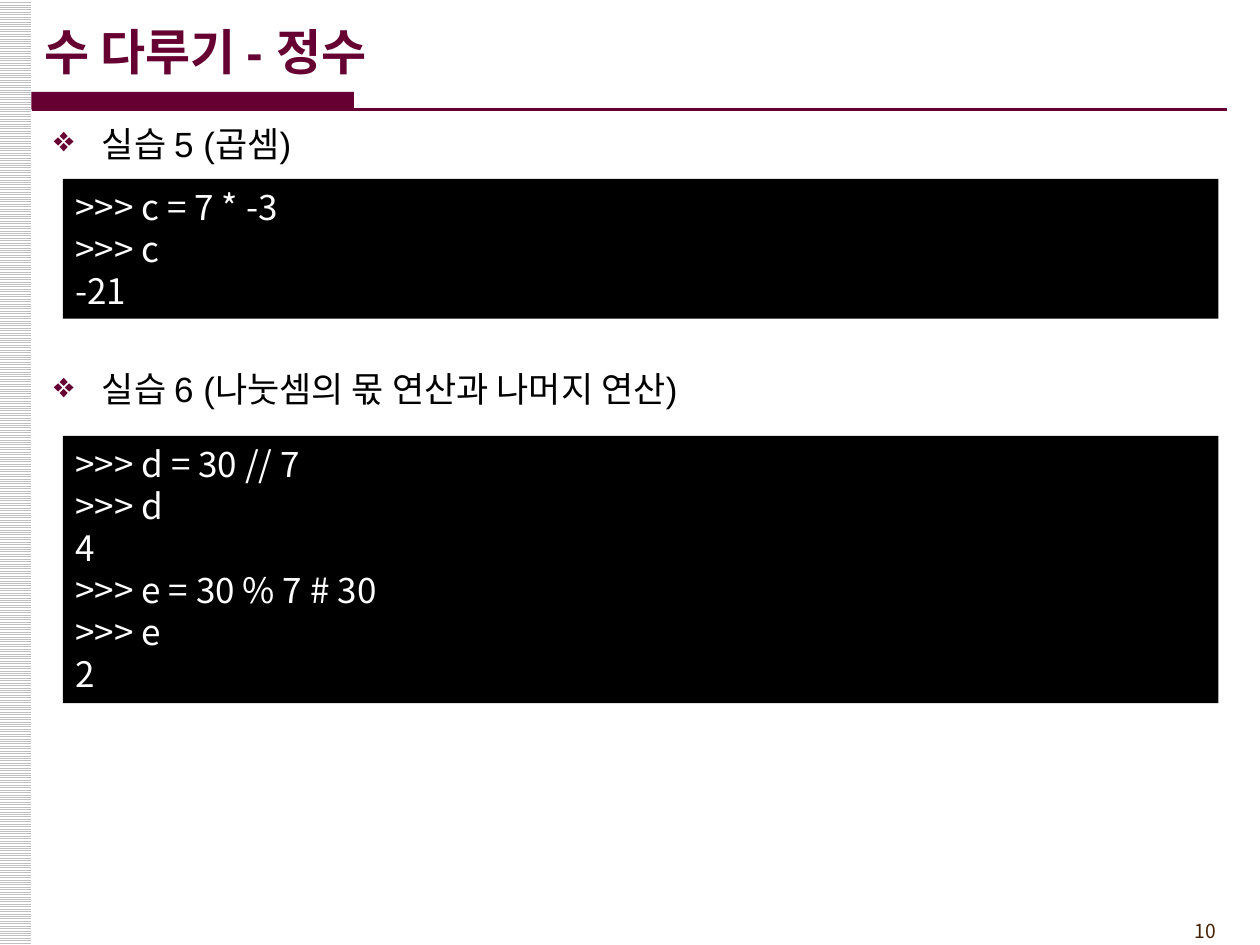
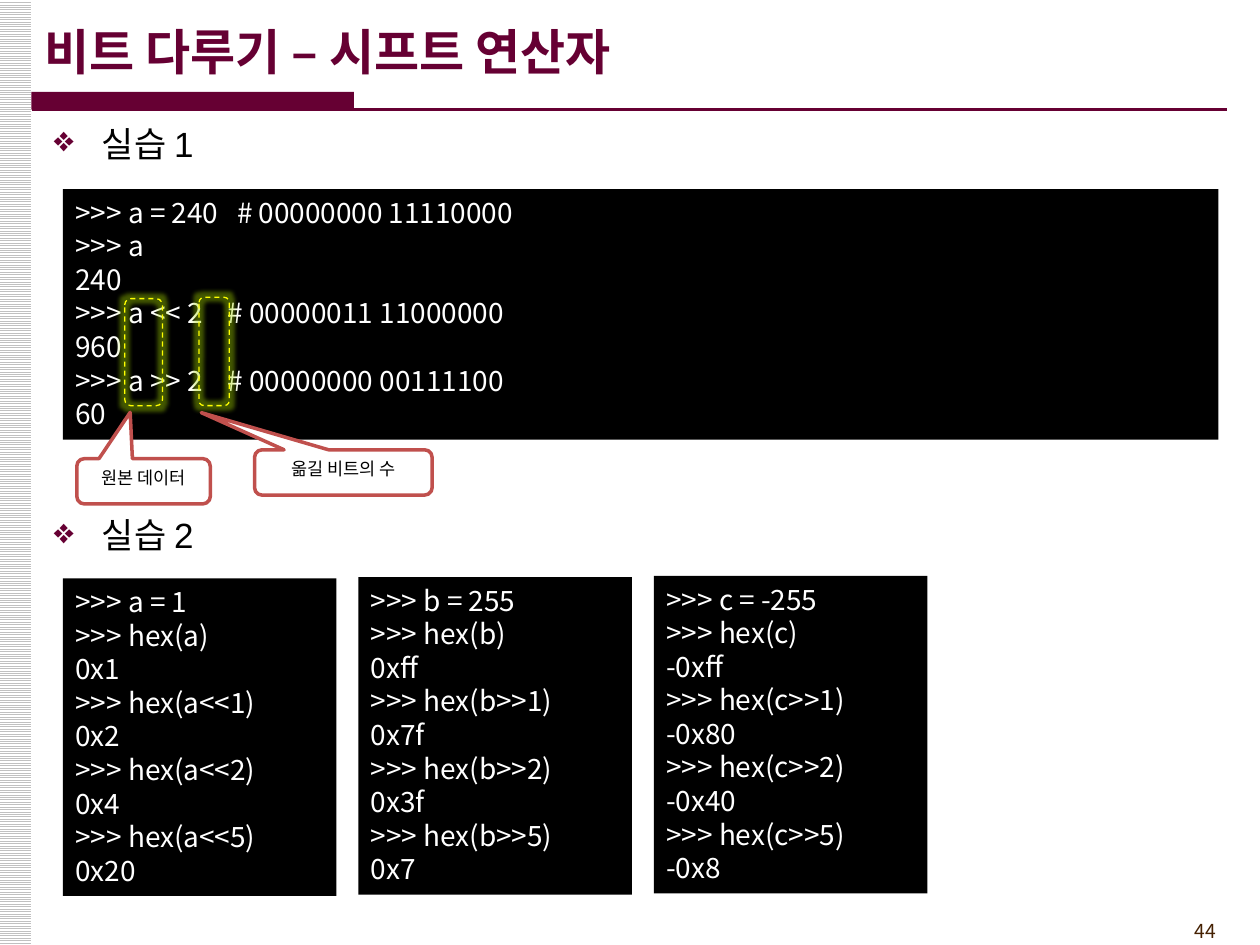
from dataclasses import dataclass

from lxml import etree
from pptx import Presentation
from pptx.dml.color import RGBColor
from pptx.enum.dml import MSO_LINE, MSO_PATTERN
from pptx.enum.shapes import MSO_CONNECTOR, MSO_SHAPE
from pptx.enum.text import MSO_ANCHOR, MSO_AUTO_SIZE, PP_ALIGN
from pptx.oxml.ns import qn
from pptx.util import Inches, Pt

RECTANGLE = MSO_SHAPE.RECTANGLE
ROUNDED = MSO_SHAPE.ROUNDED_RECTANGLE
CALLOUT = MSO_SHAPE.ROUNDED_RECTANGULAR_CALLOUT
LEFT, CENTER, RIGHT = PP_ALIGN.LEFT, PP_ALIGN.CENTER, PP_ALIGN.RIGHT
TOP, MIDDLE = MSO_ANCHOR.TOP, MSO_ANCHOR.MIDDLE


@dataclass(frozen=True)
class Theme:
    accent: str = "660033"
    ink: str = "000000"
    paper: str = "FFFFFF"
    stripe: str = "C0C0C0"
    number: str = "452103"
    callout: str = "C0504D"
    marker: str = "FFFF00"
    glow: str = "AADD00"
    heading_font: str = "Arial"
    body_font: str = "Noto Sans CJK KR"
    title_size: int = 28
    heading_size: int = 20
    number_size: int = 11
    note_size: int = 10


THEME = Theme()

# Content: headings are (top, text), code blocks are (left, top, width, height, size, lines)
CODE_LEFT, CODE_WIDTH = 0.5, 9.17
HEX_WIDTH, HEX_STEP, HEX_TOP, HEX_RISE = 2.17, 2.345, 4.59, 0.01
HEADING_TOP = 0.92

HEX_SESSIONS = [
    [">>> a = 1", ">>> hex(a)", "0x1", ">>> hex(a<<1)", "0x2",
     ">>> hex(a<<2)", "0x4", ">>> hex(a<<5)", "0x20"],
    [">>> b = 255", ">>> hex(b)", "0xff", ">>> hex(b>>1)", "0x7f",
     ">>> hex(b>>2)", "0x3f", ">>> hex(b>>5)", "0x7"],
    [">>> c = -255", ">>> hex(c)", "-0xff", ">>> hex(c>>1)", "-0x80",
     ">>> hex(c>>2)", "-0x40", ">>> hex(c>>5)", "-0x8"],
]

SLIDES = [
    {
        "title": "수 다루기 - 정수",
        "number": "10",
        "headings": [(HEADING_TOP, "실습 5 (곱셈)"),
                     (2.87, "실습 6 (나눗셈의 몫 연산과 나머지 연산)")],
        "code": [
            (CODE_LEFT, 1.42, CODE_WIDTH, 1.11, 20, [">>> c = 7 * -3", ">>> c", "-21"]),
            (CODE_LEFT, 3.46, CODE_WIDTH, 2.12, 20,
             [">>> d = 30 // 7", ">>> d", "4", ">>> e = 30 % 7 # 30", ">>> e", "2"]),
        ],
    },
    {
        "title": "비트 다루기 – 시프트 연산자",
        "number": "44",
        "headings": [(HEADING_TOP, "실습 1"), (4.03, "실습 2")],
        "code": [
            (CODE_LEFT, 1.5, CODE_WIDTH, 1.99, 16,
             [">>> a = 240   # 00000000 11110000", ">>> a", "240",
              ">>> a << 2    # 00000011 11000000", "960",
              ">>> a >> 2    # 00000000 00111100", "60"]),
        ] + [
            (CODE_LEFT + column * HEX_STEP, HEX_TOP - column * HEX_RISE,
             HEX_WIDTH, 2.52, 16, lines)
            for column, lines in enumerate(HEX_SESSIONS)
        ],
        "markers": [(0.99, 2.37, 0.3, 0.85), (1.58, 2.36, 0.24, 0.86)],
        "callouts": [
            ((0.61, 3.64, 1.06, 0.36), (-0.1, -1.52), "원본 데이터"),
            ((2.02, 3.57, 1.41, 0.36), (-0.8, -1.32), "옮길 비트의 수"),
        ],
    },
]


def color(value):
    return RGBColor.from_string(value)


def inches(box):
    return [Inches(length) for length in box]


def add_child(parent, tag, **attributes):
    return etree.SubElement(parent, qn(tag), attributes)


def write(shape, lines, size, ink, font=THEME.body_font, bold=False,
          align=LEFT, anchor=TOP):
    frame = shape.text_frame
    frame.word_wrap = True
    frame.auto_size = MSO_AUTO_SIZE.NONE
    frame.vertical_anchor = anchor
    for index, line in enumerate(lines):
        paragraph = frame.paragraphs[0] if index == 0 else frame.add_paragraph()
        paragraph.alignment = align
        run = paragraph.add_run()
        run.text = line
        run.font.size = Pt(size)
        run.font.bold = bold
        run.font.color.rgb = color(ink)
        run.font.name = font
        add_child(run.font._element, "a:ea", typeface=THEME.body_font)


def add_box(slide, kind, box, fill=None, line=None, line_width=1):
    shape = slide.shapes.add_shape(kind, *inches(box))
    shape.shadow.inherit = False
    if fill:
        shape.fill.solid()
        shape.fill.fore_color.rgb = color(fill)
    else:
        shape.fill.background()
    if line:
        shape.line.color.rgb = color(line)
        shape.line.width = Pt(line_width)
    else:
        shape.line.fill.background()
    return shape


def add_frame(slide, title, number):
    # Striped side band
    band = add_box(slide, RECTANGLE, (0, 0, 0.25, 7.5))
    band.fill.patterned()
    band.fill.pattern = MSO_PATTERN.LIGHT_HORIZONTAL
    band.fill.fore_color.rgb = color(THEME.stripe)
    band.fill.back_color.rgb = color(THEME.paper)

    # Title with its bar and rule
    add_box(slide, RECTANGLE, (0.25, 0.73, 2.56, 0.14), THEME.accent)
    rule = slide.shapes.add_connector(
        MSO_CONNECTOR.STRAIGHT, *inches((0.25, 0.87, 9.74, 0.87)))
    rule.line.color.rgb = color(THEME.accent)
    rule.line.width = Pt(1.5)
    add_child(rule._element.spPr, "a:effectLst")
    heading = slide.shapes.title
    heading.left, heading.top, heading.width, heading.height = inches(
        (0.25, 0.09, 8.27, 0.63))
    write(heading, [title], THEME.title_size, THEME.accent,
          THEME.heading_font, bold=True, anchor=MIDDLE)

    # Page number
    footer = slide.shapes.add_textbox(*inches((8.92, 7.25, 0.83, 0.29)))
    write(footer, [number], THEME.number_size, THEME.number, align=RIGHT)


def add_heading(slide, top, text):
    box = slide.shapes.add_textbox(*inches((0.33, top, 9.5, 0.45)))
    indent = Inches(0.38)
    properties = box.text_frame.paragraphs[0]._p.get_or_add_pPr()
    properties.set("marL", str(indent))
    properties.set("indent", str(-indent))
    bullet_color = add_child(properties, "a:buClr")
    add_child(bullet_color, "a:srgbClr", val=THEME.accent)
    add_child(properties, "a:buChar", char="❖")
    write(box, [text], THEME.heading_size, THEME.ink, THEME.heading_font)


def add_marker(slide, box):
    marker = add_box(slide, ROUNDED, box, line=THEME.marker, line_width=0.75)
    marker.line.dash_style = MSO_LINE.DASH
    effects = marker._element.spPr.find(qn("a:effectLst"))
    glow = add_child(effects, "a:glow", rad=str(Pt(5)))
    glow_color = add_child(glow, "a:srgbClr", val=THEME.glow)
    add_child(glow_color, "a:alpha", val="40000")


def add_callout(slide, box, tip, text):
    callout = add_box(slide, CALLOUT, box, THEME.paper, THEME.callout, 2)
    callout.adjustments[0], callout.adjustments[1] = tip
    write(callout, [text], THEME.note_size, THEME.ink, align=CENTER)


def main():
    presentation = Presentation()
    presentation.slide_width, presentation.slide_height = inches((10, 7.5))
    title_only = presentation.slide_layouts[5]
    for content in SLIDES:
        slide = presentation.slides.add_slide(title_only)
        add_frame(slide, content["title"], content["number"])
        for top, text in content["headings"]:
            add_heading(slide, top, text)
        for *box, size, lines in content["code"]:
            block = add_box(slide, RECTANGLE, box, THEME.ink)
            write(block, lines, size, THEME.paper)
        for box in content.get("markers", []):
            add_marker(slide, box)
        for callout in content.get("callouts", []):
            add_callout(slide, *callout)
    presentation.save("out.pptx")


if __name__ == "__main__":
    main()
